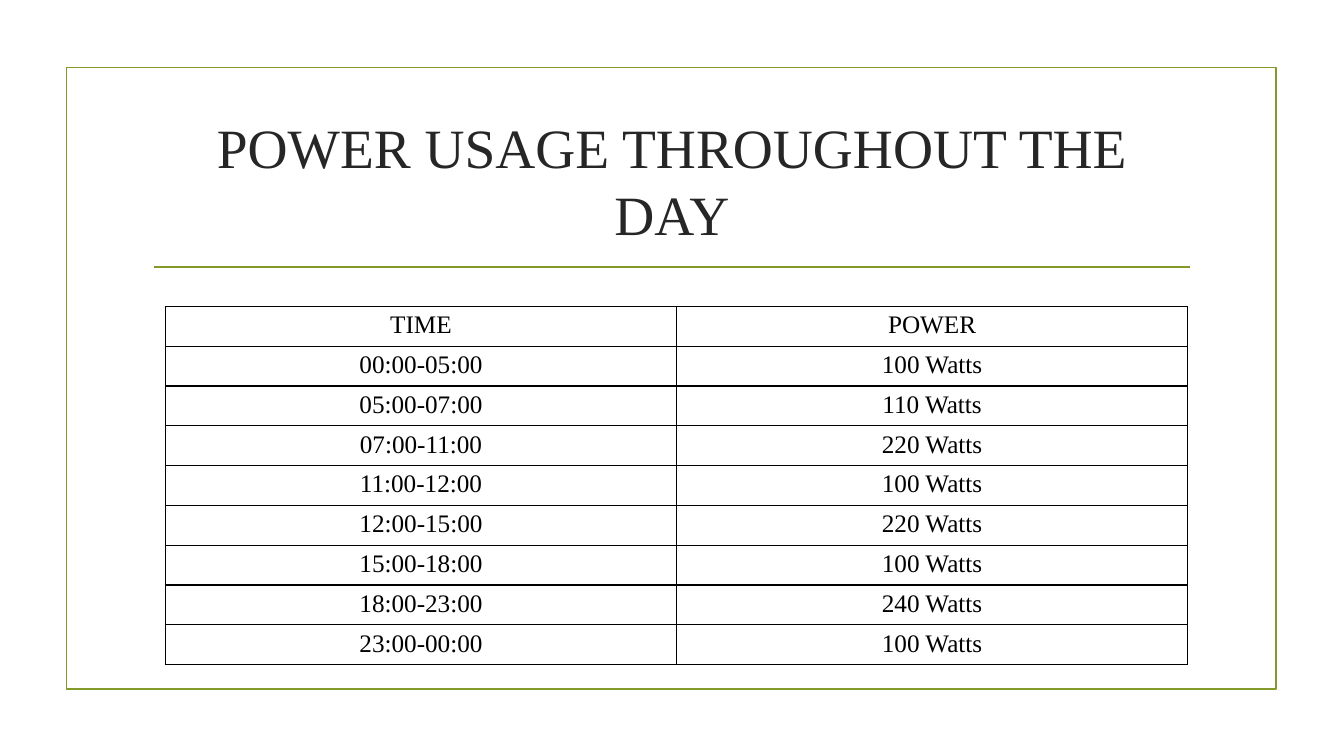
from dataclasses import dataclass

from lxml.etree import SubElement
from pptx import Presentation
from pptx.dml.color import RGBColor
from pptx.enum.shapes import MSO_CONNECTOR as Connector, MSO_SHAPE as Shape
from pptx.enum.text import MSO_ANCHOR as Anchor, PP_ALIGN as Align
from pptx.oxml.ns import qn
from pptx.util import Cm, Pt


@dataclass(frozen=True)
class Theme:
    font: str = "Times New Roman"
    accent: RGBColor = RGBColor(0x83, 0x99, 0x2A)
    title_color: RGBColor = RGBColor(0x26, 0x26, 0x26)
    table_color: RGBColor = RGBColor(0, 0, 0)
    title_size: float = 39.6
    table_size: float = 18
    line_width: float = 1.25
    border_width: float = 1


THEME = Theme()
POWER_USAGE = [
    ("TIME", "POWER"),
    ("00:00-05:00", "100 Watts"),
    ("05:00-07:00", "110 Watts"),
    ("07:00-11:00", "220 Watts"),
    ("11:00-12:00", "100 Watts"),
    ("12:00-15:00", "220 Watts"),
    ("15:00-18:00", "100 Watts"),
    ("18:00-23:00", "240 Watts"),
    ("23:00-00:00", "100 Watts"),
]


def write_text(text_frame, text, size, color):
    paragraph = text_frame.paragraphs[0]
    paragraph.alignment = Align.CENTER
    run = paragraph.add_run()
    run.text = text
    run.font.name = THEME.font
    run.font.size = Pt(size)
    run.font.color.rgb = color


def style_line(line):
    line.color.rgb = THEME.accent
    line.width = Pt(THEME.line_width)


def add_frame(slide, left, top, width, height):
    frame = slide.shapes.add_shape(
        Shape.RECTANGLE, Cm(left), Cm(top), Cm(width), Cm(height))
    frame.shadow.inherit = False
    frame.fill.background()
    style_line(frame.line)


def add_title(slide, left, top, width, height):
    title = slide.shapes.add_textbox(Cm(left), Cm(top), Cm(width), Cm(height))
    title.text_frame.word_wrap = True
    title.text_frame.vertical_anchor = Anchor.MIDDLE
    write_text(title.text_frame, "POWER USAGE THROUGHOUT THE DAY",
               THEME.title_size, THEME.title_color)

    rule_left, rule_top = Cm(left + 0.28), Cm(top + height + 0.38)
    rule = slide.shapes.add_connector(
        Connector.STRAIGHT, rule_left, rule_top,
        rule_left + Cm(width - 0.56), rule_top)
    style_line(rule.line)
    SubElement(rule.element.spPr, qn("a:effectLst"))


def add_borders(cell):
    properties = cell._tc.get_or_add_tcPr()
    for side in ("lnL", "lnR", "lnT", "lnB"):
        border = SubElement(properties, qn(f"a:{side}"),
                            w=str(Pt(THEME.border_width)))
        fill = SubElement(border, qn("a:solidFill"))
        SubElement(fill, qn("a:srgbClr"), val=str(THEME.table_color))


def add_usage_table(slide, left, top, width, height):
    row_count, column_count = len(POWER_USAGE), len(POWER_USAGE[0])
    table = slide.shapes.add_table(
        row_count, column_count, Cm(left), Cm(top), Cm(width), Cm(height)).table
    table.first_row = False
    table.horz_banding = False
    for row, texts in zip(table.rows, POWER_USAGE):
        for cell, text in zip(row.cells, texts):
            cell.margin_top = cell.margin_bottom = Cm(0.12)
            add_borders(cell)
            cell.fill.background()
            write_text(cell.text_frame, text, THEME.table_size, THEME.table_color)


def main():
    presentation = Presentation()
    presentation.slide_width = Cm(33.87)
    presentation.slide_height = Cm(19.05)
    slide = presentation.slides.add_slide(presentation.slide_layouts[6])
    add_frame(slide, 1.68, 1.7, 30.48, 15.67)
    add_title(slide, 3.6, 2.72, 26.67, 3.63)
    add_usage_table(slide, 4.17, 7.72, 25.76, 8.73)
    presentation.save("out.pptx")


if __name__ == "__main__":
    main()
